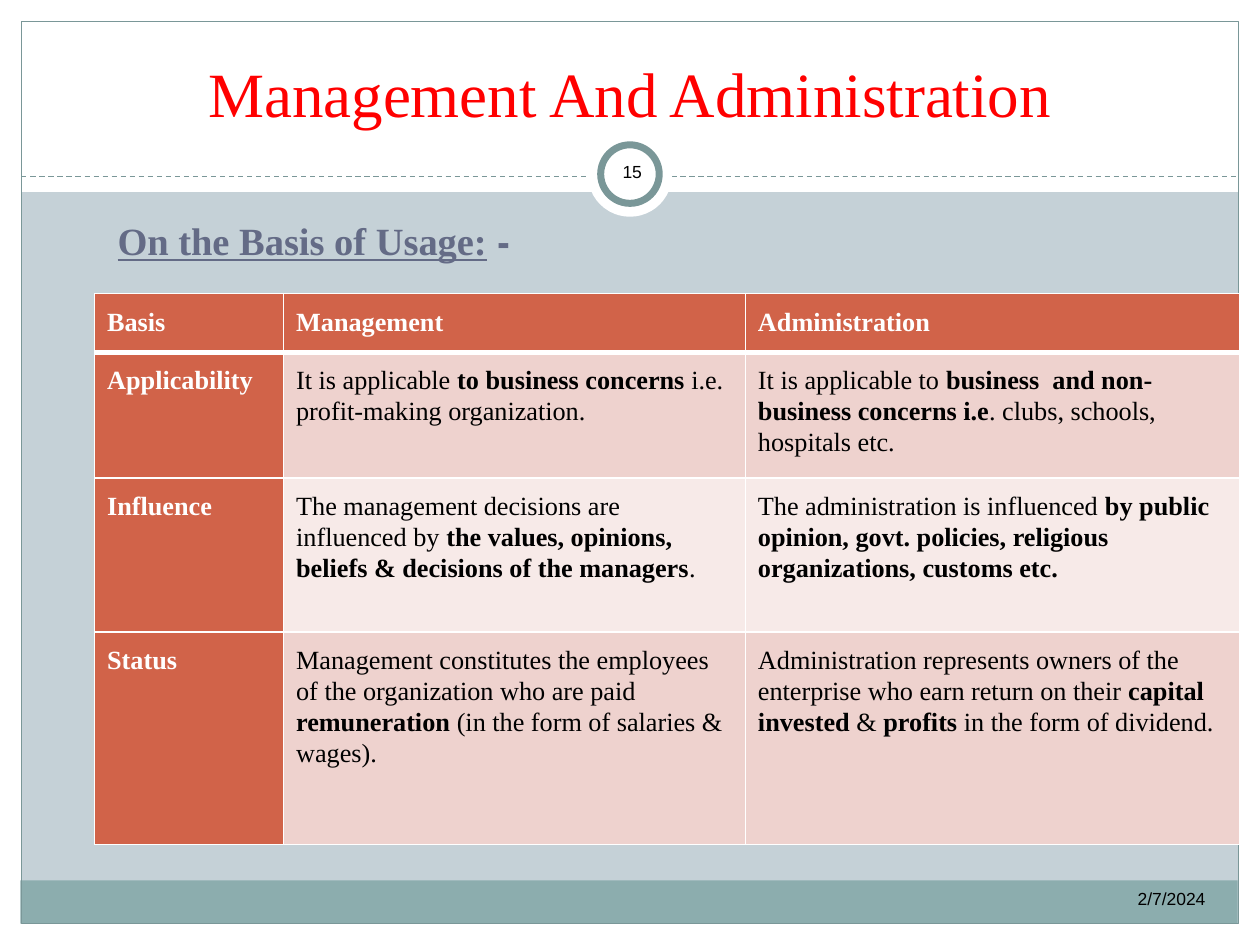
from dataclasses import dataclass

from lxml import etree
from pptx import Presentation
from pptx.dml.color import RGBColor
from pptx.enum.dml import MSO_LINE
from pptx.enum.shapes import MSO_CONNECTOR, MSO_SHAPE
from pptx.enum.text import MSO_ANCHOR, PP_ALIGN
from pptx.oxml.ns import qn
from pptx.util import Cm, Pt

RECTANGLE, OVAL = MSO_SHAPE.RECTANGLE, MSO_SHAPE.OVAL
STRAIGHT, DASH = MSO_CONNECTOR.STRAIGHT, MSO_LINE.DASH
TOP, MIDDLE, BOTTOM = MSO_ANCHOR.TOP, MSO_ANCHOR.MIDDLE, MSO_ANCHOR.BOTTOM
CENTER, RIGHT, JUSTIFY = PP_ALIGN.CENTER, PP_ALIGN.RIGHT, PP_ALIGN.JUSTIFY


@dataclass(frozen=True)
class Theme:
    white: str = "FFFFFF"
    black: str = "000000"
    background: str = "C5D1D7"
    band: str = "8CADAE"
    frame: str = "7A9798"
    title: str = "FF0000"
    heading: str = "646B86"
    header_fill: str = "D16349"
    row_fills: tuple[str, str] = ("EED2CE", "F7EAE8")
    serif: str = "Times New Roman"
    sans: str = "Arial"
    dash_font: str = "TeX Gyre Schola"
    title_size: float = 36
    heading_size: float = 22
    table_size: float = 15
    small_size: float = 10


THEME = Theme()


@dataclass(frozen=True)
class Place:
    """Left, top, width and height in centimetres."""
    left: float
    top: float
    width: float
    height: float

    def lengths(self) -> tuple:
        return Cm(self.left), Cm(self.top), Cm(self.width), Cm(self.height)


@dataclass(frozen=True)
class Panel:
    place: Place
    fill: str | None = None
    line: str | None = None
    weight: float = 0.75
    kind: int = RECTANGLE


@dataclass(frozen=True)
class Span:
    text: str
    size: float
    color: str
    font: str = THEME.serif
    bold: bool = False
    underline: bool = False


@dataclass(frozen=True)
class Label:
    place: Place
    spans: tuple[Span, ...]
    align: int
    anchor: int = TOP
    side_inset: float = 0.25
    indent: float = 0


PANELS = (
    Panel(Place(0, 18.62, 25.4, 0.43), THEME.white),
    Panel(Place(0, 0, 25.4, 3.87), THEME.white),
    Panel(Place(0, 0, 0.43, 19.05), THEME.white),
    Panel(Place(24.97, 0, 0.43, 19.05), THEME.white),
    Panel(Place(0.41, 17.75, 24.54, 0.87), THEME.band),
    Panel(Place(0.43, 0.43, 24.54, 18.19), line=THEME.frame),
)
BADGE = (
    Panel(Place(11.85, 2.67, 1.7, 1.7), THEME.white, kind=OVAL),
    Panel(Place(12.11, 2.92, 1.18, 1.18), THEME.white, THEME.frame, 4, OVAL),
)
LABELS = (
    Label(Place(0.85, 0.64, 23.7, 2.12),
          (Span("Management And Administration", THEME.title_size, THEME.title),),
          CENTER, BOTTOM),
    Label(Place(16.08, 17.78, 8.47, 1.02),
          (Span("2/7/2024", THEME.small_size, THEME.black, THEME.sans),), RIGHT),
    Label(Place(12.11, 2.85, 1.27, 1.22),
          (Span("15", THEME.small_size, THEME.black, THEME.sans),),
          CENTER, MIDDLE, 0.13),
    Label(Place(0.85, 4.24, 23.62, 1.4),
          (Span("On the Basis of Usage:", THEME.heading_size, THEME.heading,
                bold=True, underline=True),
           Span(" -", THEME.heading_size, THEME.heading, THEME.dash_font, bold=True)),
          JUSTIFY, indent=1.27),
)

# Table wording; text between ** marks is bold
TABLE_PLACE = Place(1.91, 5.92, 23.08, 10.92)
COLUMN_WIDTHS = (3.81, 9.31, 9.96)
ROW_HEIGHTS = (1.09, 2.44, 3.1, 4.29)
ROWS = (
    ("Basis", "Management", "Administration"),
    ("Applicability",
     "It is applicable **to business concerns **i.e. profit-making organization.",
     "It is applicable to **business  and non-business concerns i.e**"
     ". clubs, schools, hospitals etc."),
    ("Influence",
     "The management decisions are influenced by **the values, opinions, "
     "beliefs & decisions of the managers**.",
     "The administration is influenced **by public opinion, govt. policies, "
     "religious organizations, customs etc.**"),
    ("Status",
     "Management constitutes the employees of the organization who are paid "
     "**remuneration** (in the form of salaries & wages).",
     "Administration represents owners of the enterprise who earn return on their "
     "**capital invested** & **profits** in the form of dividend."),
)


def rgb(color: str) -> RGBColor:
    return RGBColor.from_string(color)


def add_span(para, span: Span) -> None:
    run = para.add_run()
    run.text = span.text
    font = run.font
    font.name, font.size, font.color.rgb = span.font, Pt(span.size), rgb(span.color)
    font.bold, font.underline = span.bold, span.underline


def add_panel(page, panel: Panel) -> None:
    shape = page.shapes.add_shape(panel.kind, *panel.place.lengths())
    shape.shadow.inherit = False
    if panel.fill:
        shape.fill.solid()
        shape.fill.fore_color.rgb = rgb(panel.fill)
    else:
        shape.fill.background()
    if panel.line:
        shape.line.color.rgb = rgb(panel.line)
        shape.line.width = Pt(panel.weight)
    else:
        shape.line.fill.background()


def add_divider(page, left: float, right: float, height: float) -> None:
    line = page.shapes.add_connector(STRAIGHT, Cm(left), Cm(height), Cm(right), Cm(height))
    line.line.color.rgb = rgb(THEME.frame)
    line.line.width = Pt(0.75)
    line.line.dash_style = DASH
    etree.SubElement(line._element.spPr, qn("a:effectLst"))


def add_label(page, label: Label) -> None:
    frame = page.shapes.add_textbox(*label.place.lengths()).text_frame
    frame.word_wrap = True
    frame.vertical_anchor = label.anchor
    frame.margin_left = frame.margin_right = Cm(label.side_inset)
    frame.margin_top = frame.margin_bottom = Cm(0.13)
    para = frame.paragraphs[0]
    para.alignment = label.align
    if label.indent:
        para._p.get_or_add_pPr().set("marL", str(Cm(label.indent)))
    for span in label.spans:
        add_span(para, span)


def set_borders(cell, top: float, bottom: float) -> None:
    properties = cell._tc.get_or_add_tcPr()
    for side, weight in (("L", 1), ("R", 1), ("T", top), ("B", bottom)):
        border = etree.SubElement(properties, qn(f"a:ln{side}"), w=str(Pt(weight)))
        fill = etree.SubElement(border, qn("a:solidFill"))
        etree.SubElement(fill, qn("a:srgbClr"), val=THEME.white)


def fill_cell(cell, text: str, row: int, column: int) -> None:
    heading = row == 0 or column == 0
    set_borders(cell, top=3 if row == 1 else 1, bottom=3 if row == 0 else 1)
    cell.fill.solid()
    cell.fill.fore_color.rgb = rgb(
        THEME.header_fill if heading else THEME.row_fills[(row - 1) % 2])
    cell.margin_left = cell.margin_right = cell.margin_top = cell.margin_bottom = Cm(0.25)
    para = cell.text_frame.paragraphs[0]
    para.line_spacing = 1.07
    color = THEME.white if heading else THEME.black
    for index, part in enumerate(text.split("**")):
        if part:
            add_span(para, Span(part, THEME.table_size, color, bold=heading or index % 2 == 1))


def add_comparison(page) -> None:
    table = page.shapes.add_table(
        len(ROWS), len(COLUMN_WIDTHS), *TABLE_PLACE.lengths()).table
    table.horz_banding = False
    for column, width in zip(table.columns, COLUMN_WIDTHS):
        column.width = Cm(width)
    for row, height in zip(table.rows, ROW_HEIGHTS):
        row.height = Cm(height)
    for row, texts in enumerate(ROWS):
        for column, text in enumerate(texts):
            fill_cell(table.cell(row, column), text, row, column)


def main() -> None:
    deck = Presentation()
    deck.slide_width, deck.slide_height = Cm(25.4), Cm(19.05)
    page = deck.slides.add_slide(deck.slide_layouts[6])
    page.background.fill.solid()
    page.background.fill.fore_color.rgb = rgb(THEME.background)
    # Frame, divider and number badge
    for panel in PANELS:
        add_panel(page, panel)
    add_divider(page, 0.43, 24.97, 3.56)
    for panel in BADGE:
        add_panel(page, panel)
    # Wording and table
    for label in LABELS:
        add_label(page, label)
    add_comparison(page)
    deck.save("out.pptx")


if __name__ == "__main__":
    main()
